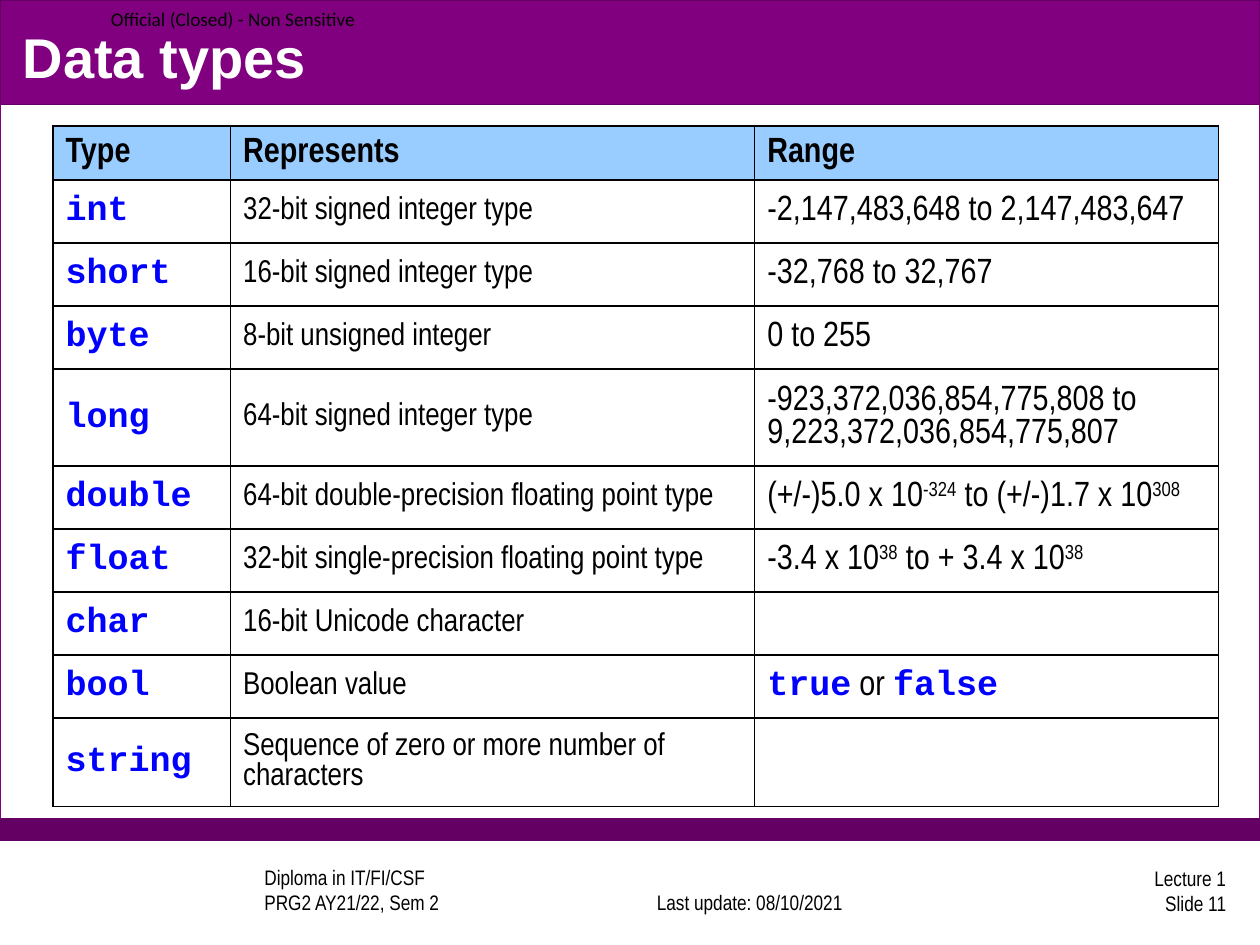
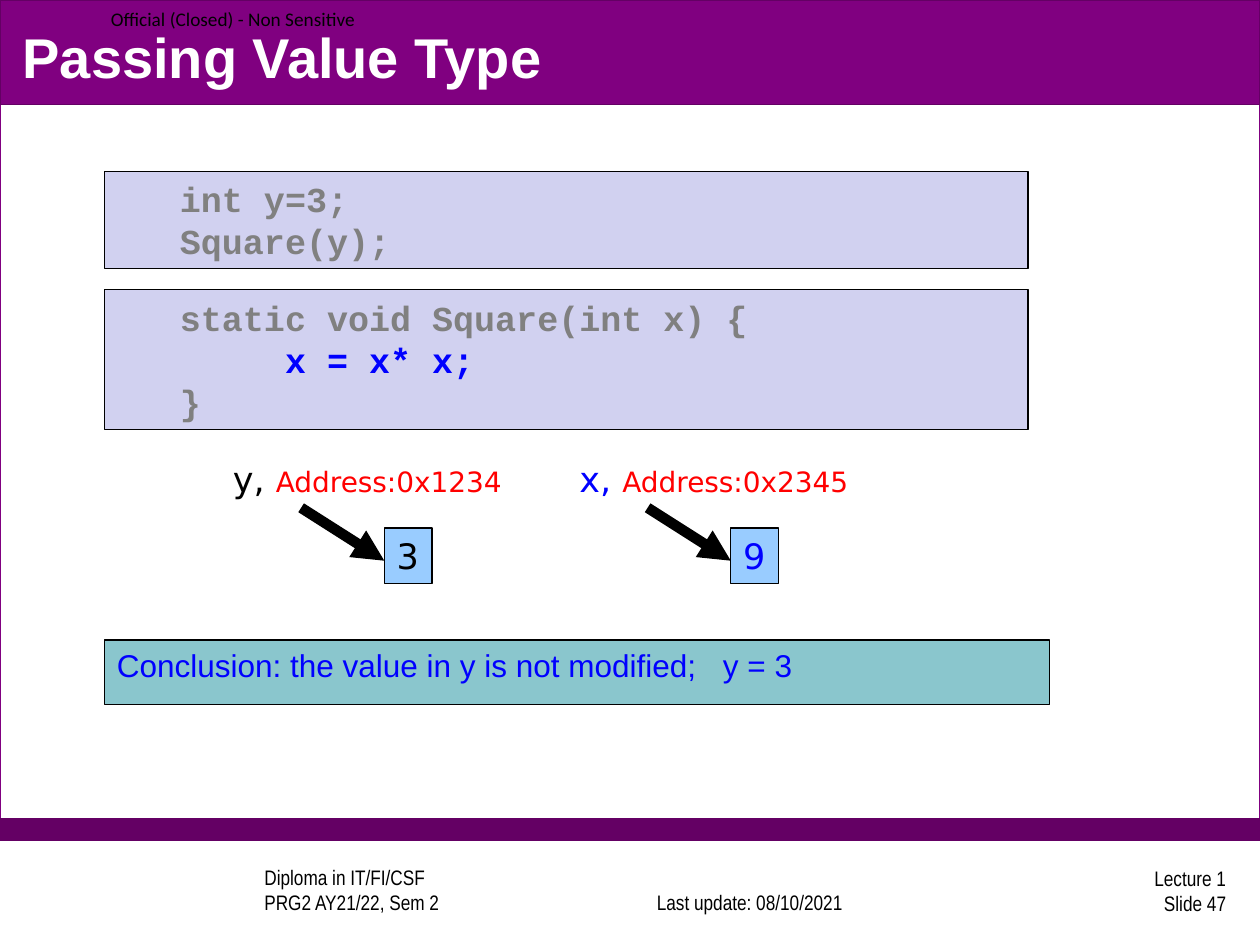
from dataclasses import dataclass
from typing import Any, Optional

import lxml.etree
import pptx
import pptx.dml.color
import pptx.enum.shapes
import pptx.enum.text
import pptx.oxml.ns
import pptx.util

Inches = pptx.util.Inches
qn = pptx.oxml.ns.qn
ALIGN = pptx.enum.text.PP_ALIGN
ANCHOR = pptx.enum.text.MSO_ANCHOR
RECT = pptx.enum.shapes.MSO_SHAPE.RECTANGLE


# Colours, fonts and type sizes
@dataclass(frozen=True)
class Theme:
    black: str = "000000"
    white: str = "FFFFFF"
    purple: str = "800080"
    dark_purple: str = "640064"
    blue: str = "0000FF"
    red: str = "FF0000"
    grey: str = "808080"
    light_blue: str = "99CCFF"
    lavender: str = "D1D1F0"
    teal: str = "8AC6CD"
    title_font: str = "Arial"
    narrow: str = "Arial Narrow"
    mono: str = "Courier New"
    label_font: str = "DejaVu Sans"
    mark_font: str = "Calibri"
    title: float = 32
    large: float = 20
    body: float = 18
    address: float = 16
    footer: float = 12
    mark: float = 11


T = Theme()


@dataclass(frozen=True)
class Box:
    left: float
    top: float
    width: float
    height: float

    def lengths(self) -> tuple:
        return tuple(Inches(v) for v in (self.left, self.top, self.width, self.height))


@dataclass(frozen=True)
class Span:
    text: str
    size: float = T.large
    font: str = T.narrow
    color: str = T.black
    bold: bool = False
    raised: bool = False


@dataclass(frozen=True)
class Band:
    box: Box
    fill: str
    line: str


@dataclass(frozen=True)
class Footer:
    box: Box
    lines: tuple
    align: Any = ALIGN.LEFT
    anchor: Any = ANCHOR.BOTTOM
    indent: float = 0


@dataclass(frozen=True)
class TypeRow:
    name: str
    represents: str
    range: tuple
    height: float = 0.5


@dataclass(frozen=True)
class Variable:
    name: str
    address: str
    value: str
    color: str


def rgb(color: str) -> pptx.dml.color.RGBColor:
    return pptx.dml.color.RGBColor.from_string(color)


# Text helpers
def write(tf: Any, paragraphs: list, *, align: Any = ALIGN.LEFT, anchor: Any = ANCHOR.TOP,
          indent: float = 0, tab: float = 0) -> None:
    """Fill a text frame; every paragraph is a sequence of spans."""
    tf.vertical_anchor = anchor
    for i, spans in enumerate(paragraphs):
        p = tf.add_paragraph() if i else tf.paragraphs[0]
        p.alignment = align
        p.line_spacing = 1.0
        p.space_before = pptx.util.Pt(0)
        pPr = p._p.get_or_add_pPr()
        if indent:
            pPr.set("marL", str(Inches(indent)))
            pPr.set("indent", "0")
        if tab:
            tabs = lxml.etree.SubElement(pPr, qn("a:tabLst"))
            lxml.etree.SubElement(tabs, qn("a:tab"), pos=str(Inches(tab)), algn="l")
        for span in spans:
            r = p.add_run()
            r.text = span.text
            r.font.size = pptx.util.Pt(span.size)
            r.font.name = span.font
            r.font.bold = span.bold
            r.font.color.rgb = rgb(span.color)
            if span.raised:
                r._r.get_or_add_rPr().set("baseline", "30000")


def set_wrap(tf: Any, wrap: bool) -> None:
    sizes = pptx.enum.text.MSO_AUTO_SIZE
    tf.word_wrap = wrap
    tf.auto_size = sizes.NONE if wrap else sizes.SHAPE_TO_FIT_TEXT


def add_text(shapes: Any, box: Box, paragraphs: list, *, wrap: bool = True,
             margin: Optional[float] = None, **fmt: Any) -> None:
    tf = shapes.add_textbox(*box.lengths()).text_frame
    set_wrap(tf, wrap)
    if margin is not None:
        tf.margin_left = tf.margin_right = tf.margin_top = tf.margin_bottom = Inches(margin)
    write(tf, paragraphs, **fmt)


# Shape helpers
def add_rect(shapes: Any, box: Box, fill: str, line: str = T.black,
             paragraphs: Optional[list] = None, *, wrap: bool = True, **fmt: Any) -> None:
    sp = shapes.add_shape(RECT, *box.lengths())
    sp.shadow.inherit = False
    sp.fill.solid()
    sp.fill.fore_color.rgb = rgb(fill)
    sp.line.color.rgb = rgb(line)
    sp.line.width = pptx.util.Pt(0.75)
    if paragraphs:
        set_wrap(sp.text_frame, wrap)
        write(sp.text_frame, paragraphs, **fmt)


def add_arrow(shapes: Any, x1: float, y1: float, x2: float, y2: float) -> None:
    sp = shapes.add_connector(pptx.enum.shapes.MSO_CONNECTOR.STRAIGHT,
                              Inches(x1), Inches(y1), Inches(x2), Inches(y2))
    sp.line.color.rgb = rgb(T.black)
    sp.line.width = pptx.util.Pt(6)
    lxml.etree.SubElement(sp.line._get_or_add_ln(), qn("a:tailEnd"), type="triangle")
    lxml.etree.SubElement(sp._element.spPr, qn("a:effectLst"))


def add_borders(cell: Any) -> None:
    tcPr = cell._tc.get_or_add_tcPr()
    for i, side in enumerate(("a:lnL", "a:lnR", "a:lnT", "a:lnB")):
        ln = lxml.etree.Element(qn(side), w=str(pptx.util.Pt(1)))
        fill = lxml.etree.SubElement(ln, qn("a:solidFill"))
        lxml.etree.SubElement(fill, qn("a:srgbClr"), val=T.black)
        tcPr.insert(i, ln)


# Frame shared by the slides
BANDS = (
    Band(Box(0, 0, 10, 6.67), T.white, T.purple),
    Band(Box(0, 6.5, 10, 0.17), T.dark_purple, T.dark_purple),
    Band(Box(0, 0, 10, 0.83), T.purple, T.dark_purple),
)
FOOTERS = (
    Footer(Box(1.5, 6.89, 3.17, 0.42), ("Diploma in IT/FI/CSF", "PRG2 AY21/22, Sem 2"),
           indent=0.5),
    Footer(Box(4.91, 6.89, 2.08, 0.42), ("Last update: 08/10/2021",), ALIGN.CENTER),
    Footer(Box(7.75, 6.86, 2.08, 0.42), ("Lecture 1", "Slide {number}"), ALIGN.RIGHT,
           ANCHOR.MIDDLE),
)


def add_slide(prs: Any, title: str, number: int) -> Any:
    s = prs.slides.add_slide(prs.slide_layouts[5])
    for band in BANDS:
        add_rect(s.shapes, band.box, band.fill, band.line)
    for footer in FOOTERS:
        lines = [[Span(line.format(number=number), T.footer)] for line in footer.lines]
        add_text(s.shapes, footer.box, lines, align=footer.align, anchor=footer.anchor,
                 indent=footer.indent)
    add_text(s.shapes, Box(0.88, 0, 2.13, 0.3),
             [[Span("Official (Closed) - Non Sensitive", T.mark, T.mark_font)]],
             margin=0, anchor=ANCHOR.MIDDLE)

    sp = s.shapes.title
    sp.left, sp.top, sp.width, sp.height = Box(0.08, 0.13, 9.83, 0.63).lengths()
    set_wrap(sp.text_frame, True)
    write(sp.text_frame, [[Span(title, T.title, T.title_font, T.white, True)]],
          anchor=ANCHOR.MIDDLE)
    s.shapes._spTree.append(sp._element)  # bring the title in front of its band
    return s


# Data types table
def code(text: str, color: str = T.blue) -> Span:
    return Span(text, font=T.mono, color=color, bold=True)


def power(text: str) -> Span:
    return Span(text, raised=True)


COLUMNS = {"Type": 1.41, "Represents": 4.16, "Range": 3.68}
HEADER_HEIGHT = 0.43
TYPES = (
    TypeRow("int", "32-bit signed integer type", (Span("-2,147,483,648 to 2,147,483,647"),)),
    TypeRow("short", "16-bit signed integer type", (Span("-32,768 to 32,767"),)),
    TypeRow("byte", "8-bit unsigned integer", (Span("0 to 255"),)),
    TypeRow("long", "64-bit signed integer type",
            (Span("-923,372,036,854,775,808 to 9,223,372,036,854,775,807"),), 0.77),
    TypeRow("double", "64-bit double-precision floating point type",
            (Span("(+/-)5.0 x 10"), power("-324"), Span(" to (+/-)1.7 x 10"), power("308"))),
    TypeRow("float", "32-bit single-precision floating point type",
            (Span("-3.4 x 10"), power("38"), Span(" to + 3.4 x 10"), power("38"))),
    TypeRow("char", "16-bit Unicode character", ()),
    TypeRow("bool", "Boolean value", (code("true"), Span(" or "), code("false"))),
    TypeRow("string", "Sequence of zero or more number of characters", (), 0.7),
)


def build_data_types(prs: Any) -> None:
    s = add_slide(prs, "Data types", 11)
    rows = [[[Span(name, bold=True)] for name in COLUMNS]]
    rows += [[[code(t.name)], [Span(t.represents, T.body)], t.range] for t in TYPES]
    heights = [HEADER_HEIGHT] + [t.height for t in TYPES]
    box = Box(0.42, 1, sum(COLUMNS.values()), sum(heights))
    table = s.shapes.add_table(len(rows), len(COLUMNS), *box.lengths()).table
    table.first_row = table.horz_banding = False
    for column, width in zip(table.columns, COLUMNS.values()):
        column.width = Inches(width)
    for i, (row, height) in enumerate(zip(rows, heights)):
        table.rows[i].height = Inches(height)
        for j, spans in enumerate(row):
            cell = table.cell(i, j)
            cell.vertical_anchor = ANCHOR.MIDDLE
            if i == 0:
                cell.fill.solid()
                cell.fill.fore_color.rgb = rgb(T.light_blue)
            else:
                cell.fill.background()
            add_borders(cell)
            write(cell.text_frame, [spans], anchor=ANCHOR.MIDDLE)


# Passing by value
VARIABLES = (
    Variable("y", "0x1234", "3", T.black),
    Variable("x", "0x2345", "9", T.blue),
)


def add_variable(s: Any, left: float, v: Variable) -> None:
    """Draw a variable's label and an arrow to the box holding its value."""
    shapes = s.shapes.add_group_shape().shapes
    add_rect(shapes, Box(left + 1.3, 4.19, 0.38, 0.44), T.light_blue, T.black,
             [[Span(v.value, font=T.label_font, color=v.color)]], wrap=False)
    add_arrow(shapes, left + 0.64, 4.03, left + 1.3, 4.45)
    add_text(shapes, Box(left, 3.58, 2.4, 0.44),
             [[Span(f"{v.name}, ", font=T.label_font, color=v.color),
               Span(f"Address:{v.address}", T.address, T.label_font, T.red)]], wrap=False)


def build_passing_value(prs: Any) -> None:
    s = add_slide(prs, "Passing Value Type", 47)
    call = [[code("int y=3;", T.grey)], [code("Square(y);", T.grey)]]
    method = [[code("static void Square(int x) {", T.grey)],
              [code("     x = x* x;")],
              [code("}", T.grey)]]
    for top, height, lines in ((1.36, 0.77, call), (2.3, 1.11, method)):
        add_rect(s.shapes, Box(0.83, top, 7.33, height), T.lavender, T.black, lines, indent=0.5)
    for i, variable in enumerate(VARIABLES):
        add_variable(s, 1.75 + 2.75 * i, variable)
    add_rect(s.shapes, Box(0.83, 5.08, 7.5, 0.51), T.teal, T.black,
             [[Span("Conclusion: the value in y is not modified;\ty = 3",
                    T.body, T.title_font, T.blue)]], tab=4.81)


def main() -> None:
    prs = pptx.Presentation()
    prs.slide_width, prs.slide_height = Inches(10), Inches(7.5)
    build_data_types(prs)
    build_passing_value(prs)
    prs.save("out.pptx")


if __name__ == "__main__":
    main()
